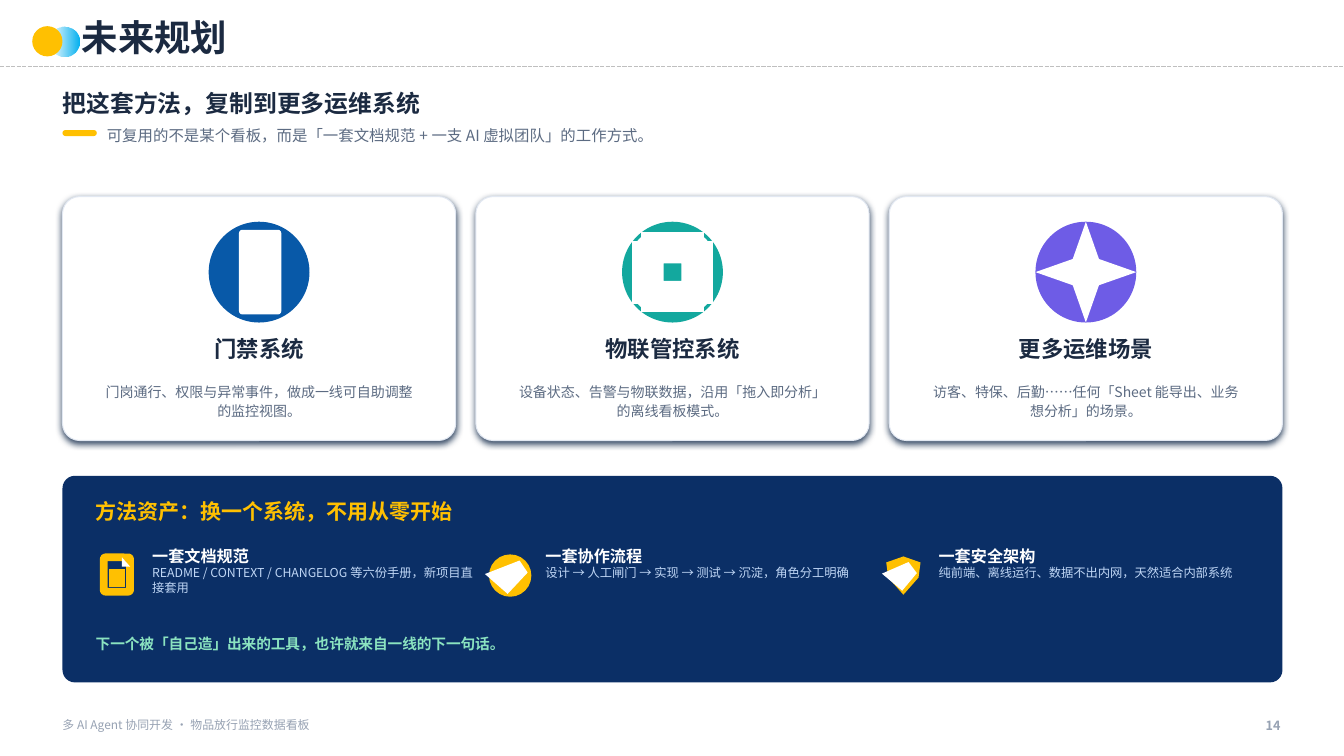
from dataclasses import dataclass
from typing import Callable, Optional

from lxml import etree
from pptx import Presentation
from pptx import util as u
from pptx.dml import color
from pptx.enum import dml, shapes, text
from pptx.oxml import ns

PX = 9144
FONT = "Noto Sans CJK SC"
INK, GREY, PALE = "1B2A41", "5C6B82", "97A2B3"
GOLD, WHITE, NAVY, SKY = "FFC001", "FFFFFF", "0B2F66", "01B0F0"
OVAL = shapes.MSO_SHAPE.OVAL
ROUND = shapes.MSO_SHAPE.ROUNDED_RECTANGLE
LEFT, MID, RIGHT = text.PP_ALIGN.LEFT, text.PP_ALIGN.CENTER, text.PP_ALIGN.RIGHT
TOP, CENTRE = text.MSO_ANCHOR.TOP, text.MSO_ANCHOR.MIDDLE

deck = Presentation()
deck.slide_width, deck.slide_height = 1333 * PX, 750 * PX
slide = deck.slides.add_slide(deck.slide_layouts[6])


@dataclass
class Run:
    words: str
    size: float
    hue: str
    bold: bool = False


@dataclass
class Card:
    title: str
    body: str
    hue: str
    icon: Callable[[int, int], None]


@dataclass
class Asset:
    title: str
    body: str
    icon: Callable[[int, int], None]


def tint(code: str) -> color.RGBColor:
    return color.RGBColor.from_string(code)


def child(node, tag: str, **attrs: str):
    return etree.SubElement(node, ns.qn(tag), **attrs)


def style(shape, fill: Optional[str], line: Optional[str], width: float) -> None:
    shape.shadow.inherit = False
    if fill:
        shape.fill.solid()
        shape.fill.fore_color.rgb = tint(fill)
    else:
        shape.fill.background()
    if line:
        shape.line.color.rgb = tint(line)
        shape.line.width = u.Pt(width)
    else:
        shape.line.fill.background()


def block(kind, x: int, y: int, w: int, h: int, fill: Optional[str] = None,
          line: Optional[str] = None, width: float = 0, bend: Optional[float] = None):
    shape = slide.shapes.add_shape(kind, x * PX, y * PX, w * PX, h * PX)
    style(shape, fill, line, width)
    if bend is not None:
        shape.adjustments[0] = bend
    return shape


def poly(x: int, y: int, dots: list[tuple[int, int]], fill: Optional[str] = None,
         line: Optional[str] = None, width: float = 0) -> None:
    spots = [(x + dx, y + dy) for dx, dy in dots]
    pen = slide.shapes.build_freeform(*spots[0], scale=PX)
    pen.add_line_segments(spots[1:], close=True)
    shape = pen.convert_to_shape()
    style(shape, fill, line, width)
    if line:
        child(shape._element.spPr.find(ns.qn("a:ln")), "a:miter", lim="800000")


def rule(x: int, y: int, far: int, low: int, hue: str, width: float):
    line = slide.shapes.add_connector(
        shapes.MSO_CONNECTOR.STRAIGHT, x * PX, y * PX, far * PX, low * PX)
    line.line.color.rgb = tint(hue)
    line.line.width = u.Pt(width)
    child(line._element.spPr, "a:effectLst")
    return line


def write(x: int, y: int, w: int, h: int, runs: list[Run], align=LEFT,
          anchor=TOP, space: Optional[float] = None) -> None:
    frame = slide.shapes.add_textbox(x * PX, y * PX, w * PX, h * PX).text_frame
    frame.word_wrap = True
    frame.auto_size = text.MSO_AUTO_SIZE.SHAPE_TO_FIT_TEXT
    frame.vertical_anchor = anchor
    frame.margin_left = frame.margin_top = frame.margin_right = frame.margin_bottom = 0
    for i, item in enumerate(runs):
        para = frame.add_paragraph() if i else frame.paragraphs[0]
        para.alignment = align
        if space:
            para.line_spacing = space
        run = para.add_run()
        run.text = item.words
        run.font.size = u.Pt(item.size)
        run.font.bold = item.bold
        run.font.color.rgb = tint(item.hue)
        run.font.name = FONT
        child(run.font._element, "a:ea", typeface=FONT)


def door(x: int, y: int) -> None:
    block(ROUND, x - 20, y - 42, 42, 84, WHITE, bend=0.08)


def chip(x: int, y: int) -> None:
    core = block(ROUND, x - 24, y - 24, 48, 48, line=WHITE, width=22, bend=0.12)
    for step in (-16, 0, 16):
        for side, (dx, dy) in enumerate([(0, -1), (-1, 0), (0, 1), (1, 0)]):
            px, py = x + step * abs(dy), y + step * abs(dx)
            pin = rule(px + 24 * dx, py + 24 * dy, px + 40 * dx, py + 40 * dy, WHITE, 22)
            if step == 0:
                pin.begin_connect(core, side)


def star(x: int, y: int) -> None:
    poly(x, y, [(0, -50), (13, -13), (50, 0), (13, 13),
                (0, 50), (-13, 13), (-50, 0), (-13, -13)], WHITE)


def page(x: int, y: int) -> None:
    block(ROUND, x - 13, y - 17, 26, 34, line=GOLD, width=5.54, bend=0.06)
    poly(x + 5, y - 17, [(0, 0), (8, 0), (8, 9)], GOLD)
    poly(x + 5, y - 17, [(0, 0), (8, 9), (0, 9)], WHITE)
    for dy in (-2, 4, 9):
        rule(x - 8, y + dy, x + 8, y + dy, GOLD, 5.08)


def badge(x: int, y: int) -> None:
    block(OVAL, x - 21, y - 20, 42, 42, GOLD)
    poly(x, y, [(-11, 2), (-3, 9), (12, -7)], line=WHITE, width=10.63)


def shield(x: int, y: int) -> None:
    poly(x, y, [(0, -18), (17, -12), (15, 3), (0, 20), (-15, 3), (-17, -12)], GOLD)
    poly(x, y, [(-8, 1), (-2, 6), (8, -6)], line=WHITE, width=10.16)


CARDS = [
    Card("门禁系统", "门岗通行、权限与异常事件，做成一线可自助调整的监控视图。", "0859A8", door),
    Card("物联管控系统", "设备状态、告警与物联数据，沿用「拖入即分析」的离线看板模式。", "13A89E", chip),
    Card("更多运维场景", "访客、特保、后勤……任何「Sheet 能导出、业务想分析」的场景。", "6E5CE6", star),
]
ASSETS = [
    Asset("一套文档规范", "README / CONTEXT / CHANGELOG 等六份手册，新项目直接套用", page),
    Asset("一套协作流程", "设计 → 人工闸门 → 实现 → 测试 → 沉淀，角色分工明确", badge),
    Asset("一套安全架构", "纯前端、离线运行、数据不出内网，天然适合内部系统", shield),
]


def header() -> None:
    rule(0, 66, 1333, 66, "BFBFBF", 1).line.dash_style = dml.MSO_LINE.SQUARE_DOT
    glow = block(OVAL, 49, 26, 30, 30, SKY)
    glow.fill.gradient()
    glow.fill.gradient_angle = 0
    for stop in glow.fill.gradient_stops:
        stop.color.rgb = tint(SKY)
    child(next(glow._element.spPr.iter(ns.qn("a:srgbClr"))), "a:alpha", val="0")
    block(OVAL, 32, 26, 30, 30, GOLD)
    write(81, 12, 800, 50, [Run("未来规划", 26, INK, True)], anchor=CENTRE)
    write(62, 82, 1210, 40, [Run("把这套方法，复制到更多运维系统", 17, INK, True)], anchor=CENTRE)
    block(ROUND, 62, 129, 34, 6, GOLD, bend=0.5)
    write(106, 120, 1160, 28, [Run(
        "可复用的不是某个看板，而是「一套文档规范 + 一支 AI 虚拟团队」的工作方式。",
        11, GREY)], anchor=CENTRE)


def footer() -> None:
    write(62, 712, 750, 28, [Run("多 AI Agent 协同开发 · 物品放行监控数据看板", 8.5, PALE)])
    write(1190, 712, 80, 28, [Run("14", 9, PALE, True)], RIGHT)


def panel(x: int, card: Card) -> None:
    base = block(ROUND, x, 195, 390, 242, WHITE, "E2E8F2", 0.75, 0.07)
    cast = child(base._element.spPr.find(ns.qn("a:effectLst")), "a:outerShdw",
                 blurRad=str(u.Pt(5)), dist=str(u.Pt(1.8)), dir="5400000", rotWithShape="0")
    child(child(cast, "a:srgbClr", val="0F2747"), "a:alpha", val="84000")
    block(OVAL, x + 145, 220, 100, 100, card.hue)
    card.icon(x + 195, 270)
    write(x, 332, 390, 40, [Run(card.title, 16, INK, True)], MID)
    write(x + 40, 378, 310, 55, [Run(card.body, 10, GREY)], MID, space=1.15)


def kit() -> None:
    block(ROUND, 62, 472, 1210, 205, NAVY, bend=0.06)
    write(95, 495, 1140, 40, [Run("方法资产：换一个系统，不用从零开始", 15, GOLD, True)])
    for i, item in enumerate(ASSETS):
        x = 116 + 390 * i
        item.icon(x, 570)
        write(x + 35, 542, 330, 110, [Run(item.title, 11.5, WHITE, True),
                                      Run(item.body, 8.8, "BFD6F5")])
    write(95, 630, 1100, 35, [Run(
        "下一个被「自己造」出来的工具，也许就来自一线的下一句话。", 10.5, "8BE3C0", True)])


def main() -> None:
    header()
    footer()
    for i, card in enumerate(CARDS):
        panel(62 + 410 * i, card)
    kit()
    deck.save("out.pptx")


if __name__ == "__main__":
    main()
